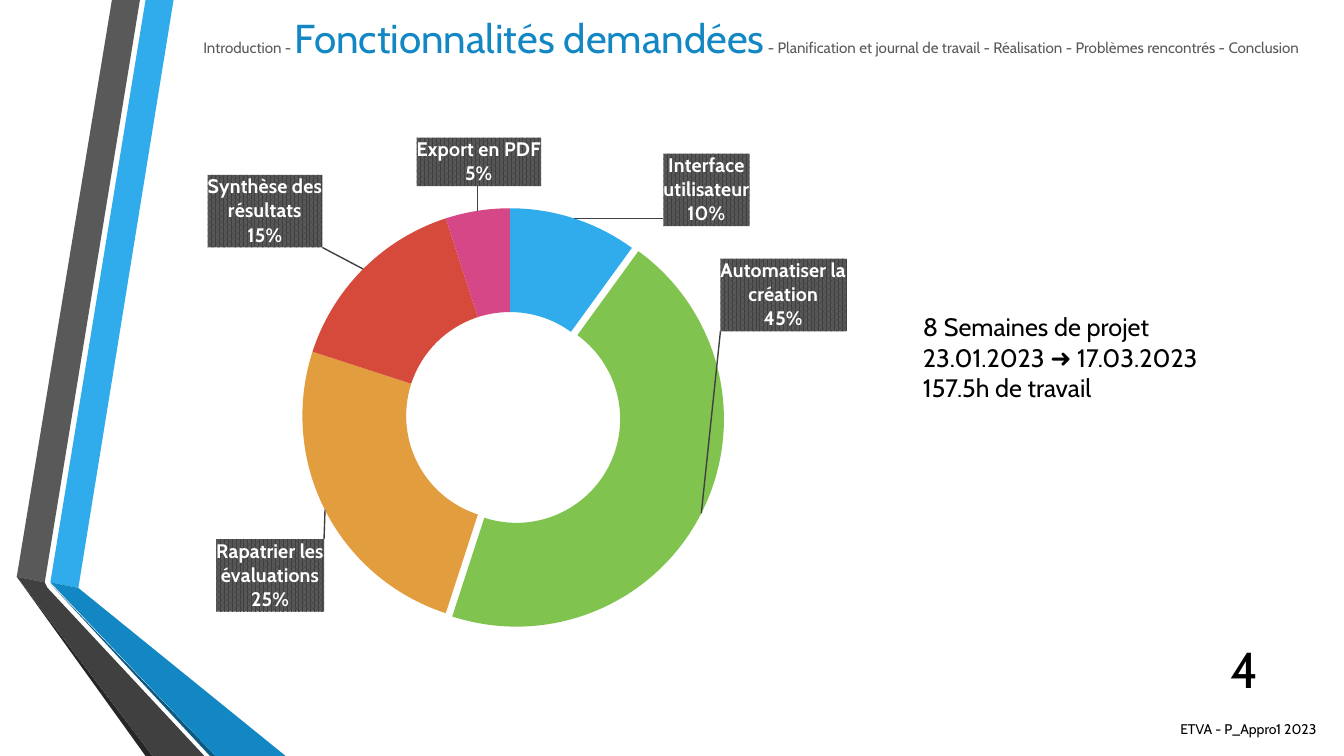
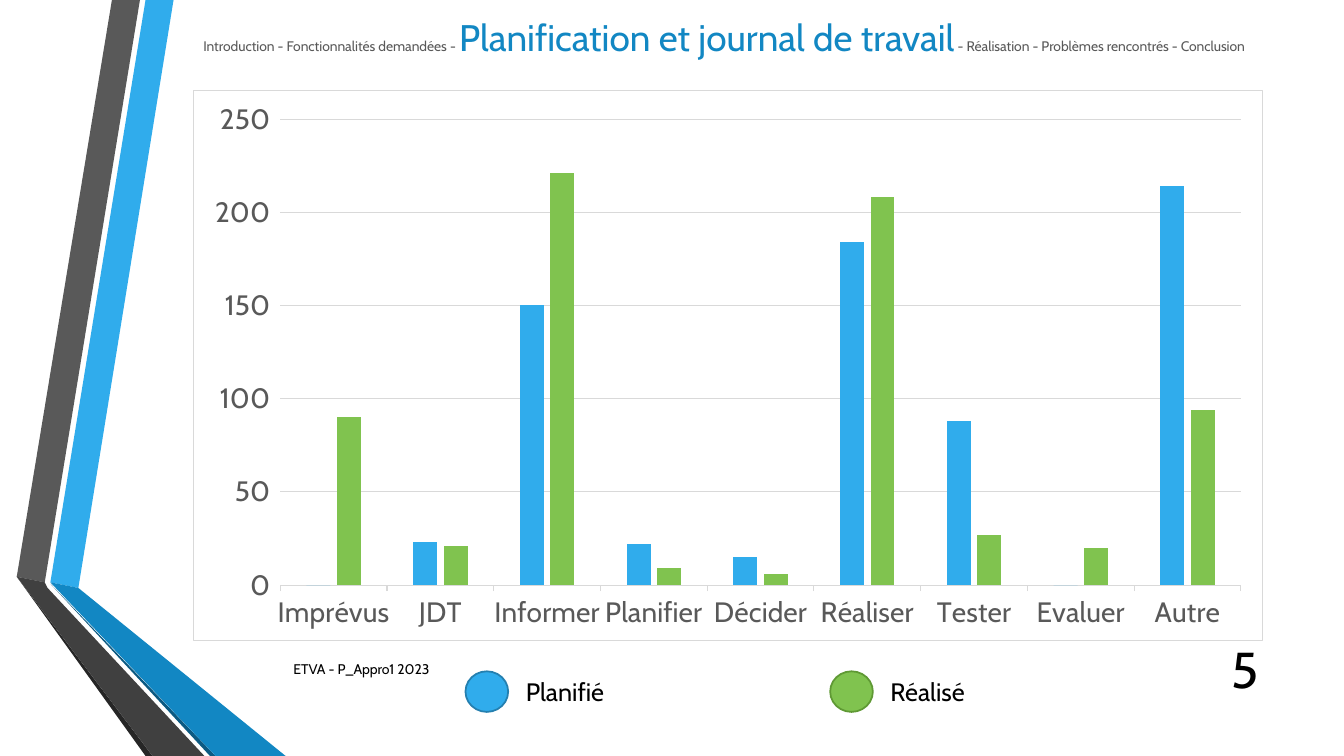
from lxml import etree
from pptx import Presentation
from pptx.chart.data import CategoryChartData
from pptx.dml.color import RGBColor
from pptx.enum import chart as ch, shapes, text
from pptx.oxml.ns import nsdecls, qn
from pptx.util import Pt

# Shared look
FONT = "Cabin"
BLUE, GREEN, DEEP, GREY, RULE = "30ACEC", "80C34F", "1287C3", "595959", "D9D9D9"
BLACK, WHITE, DARK = "000000", "FFFFFF", "404040"
FOOTER = "ETVA - P_Appro1 2023"
TOPICS = ["Introduction", "Fonctionnalités demandées",
          "Planification et journal de travail", "Réalisation",
          "Problèmes rencontrés", "Conclusion"]
BANDS = [
    (BLUE, [(36, 416), (55.5, 420), (124.5, 0), (104.5, 0)]),
    (GREY, [(100, 0), (80, 0), (11.5, 412.5), (31.5, 415.5)]),
    ("262626", [(11.5, 412.5), (104.5, 540), (109, 540)]),
    ("0C5A82", [(36, 417), (150, 540), (154, 540)]),
    (DEEP, [(36, 416), (154, 540), (204, 540), (55.5, 420)]),
    (DARK, [(11.5, 412.5), (109, 540), (145.5, 540), (34.5, 420), (31.5, 415.5)]),
]

# Slide 1: name, share, colour, label shift (x, y) in chart fractions
PARTS = [
    ("Interface utilisateur", 10, BLUE, (.22, -.14)),
    ("Automatiser la création", 45, GREEN, (.19, -.35)),
    ("Rapatrier les évaluations", 25, "E29D3E", (-.15, .16)),
    ("Synthèse des résultats", 15, "D64A3B", (-.2, -.17)),
    ("Export en PDF", 5, "D64787", (-.01, -.18)),
]
BURST = {1: 7}
RING = (.154, .163, .631, .746)
FACTS = ["8 Semaines de projet", "23.01.2023 ➜ 17.03.2023", "157.5h de travail"]

# Slide 2
TASKS = ["Imprévus", "JDT", "Informer", "Planifier", "Décider",
         "Réaliser", "Tester", "Evaluer", "Autre"]
HOURS = [("Planifié", BLUE, "247FAF", [0, 23, 150, 22, 15, 184, 88, 0, 214]),
         ("Réalisé", GREEN, "5F9934", [90, 21, 221, 9, 6, 208, 27, 20, 94])]


def rgb(code):
    return RGBColor.from_string(code)


def paint(item, code):
    item.fill.solid()
    item.fill.fore_color.rgb = rgb(code)


def style(font, size, code):
    font.name, font.size = FONT, Pt(size)
    font.color.rgb = rgb(code)


def rule(line, code, width):
    line.color.rgb = rgb(code)
    line.width = Pt(width)


def node(xml):
    head, tail = xml.split(">", 1)
    cut = len(head) - 1 if head.endswith("/") else len(head)
    return etree.fromstring(f"{head[:cut]} {nsdecls('c', 'a')}{head[cut:]}>{tail}")


def place(shape, box):
    shape.left, shape.top, shape.width, shape.height = map(Pt, box)


def label(slide, words, box, size, align=text.PP_ALIGN.LEFT):
    shape = slide.shapes.add_textbox(*map(Pt, box))
    frame = shape.text_frame
    frame.word_wrap = True
    frame.vertical_anchor = text.MSO_ANCHOR.MIDDLE
    frame.text = words
    frame.paragraphs[0].alignment = align
    style(frame.paragraphs[0].runs[0].font, size, BLACK)


def draw_bands(slide, master):
    """Draw the ribbon and move it to the master."""
    for code, spots in BANDS:
        pen = slide.shapes.build_freeform(*spots[0], scale=Pt(1))
        pen.add_line_segments(spots[1:], close=True)
        band = pen.convert_to_shape()
        band.shadow.inherit = False
        paint(band, code)
        band.line.fill.background()
        master.shapes.element.append(band.element)


def start(deck, layout, topic, big, small, page, foot):
    """Add a slide with the topic trail as title, page number and footer."""
    slide = deck.slides.add_slide(deck.slide_layouts[layout])
    place(slide.shapes.title, (138, 5, 822, 43))
    frame = slide.shapes.title.text_frame
    frame.word_wrap = True
    frame.auto_size = text.MSO_AUTO_SIZE.NONE
    frame.vertical_anchor = text.MSO_ANCHOR.MIDDLE
    line = frame.paragraphs[0]
    line.alignment = text.PP_ALIGN.LEFT
    before = "".join(f"{t} - " for t in TOPICS[:topic])
    after = "".join(f" - {t}" for t in TOPICS[topic + 1:])
    for words, size, code in [(before, small, GREY), (TOPICS[topic], big, DEEP),
                              (after, small, GREY)]:
        run = line.add_run()
        run.text = words
        style(run.font, size, code)
    label(slide, page, (846, 463, 60, 29), 36, text.PP_ALIGN.RIGHT)
    label(slide, FOOTER, foot, 10)
    return slide


def add_chart(slide, kind, box, names, series):
    data = CategoryChartData()
    data.categories = names
    for name, vals in series:
        data.add_series(name, vals)
    chart = slide.shapes.add_chart(kind, *map(Pt, box), data).chart
    chart.has_title = chart.has_legend = False
    style(chart.font, 10, BLACK)
    return chart


def label_xml(inner="", end=""):
    """Common body of one label and of the whole label set."""
    return f"""{inner}<c:numFmt formatCode="0%" sourceLinked="0"/>
<c:spPr><a:pattFill prst="pct75"><a:fgClr><a:srgbClr val="{DARK}"/></a:fgClr>
<a:bgClr><a:srgbClr val="{GREY}"/></a:bgClr></a:pattFill><a:ln><a:noFill/></a:ln></c:spPr>
<c:txPr><a:bodyPr wrap="square" lIns="0" tIns="0" rIns="0" bIns="0"/><a:p><a:pPr>
<a:defRPr sz="1400" b="1"><a:solidFill><a:srgbClr val="{WHITE}"/></a:solidFill>
<a:latin typeface="{FONT}"/></a:defRPr></a:pPr><a:endParaRPr lang="fr-FR"/></a:p></c:txPr>
<c:showLegendKey val="0"/><c:showVal val="0"/><c:showCatName val="1"/>
<c:showSerName val="0"/><c:showPercent val="1"/><c:showBubbleSize val="0"/>
<c:separator>\n</c:separator>{end}"""


def ring_labels():
    out = ""
    for i, (_, _, _, (x, y)) in enumerate(PARTS):
        shift = (f'<c:idx val="{i}"/><c:layout><c:manualLayout><c:x val="{x}"/>'
                 f'<c:y val="{y}"/></c:manualLayout></c:layout>')
        out += f"<c:dLbl>{label_xml(shift)}</c:dLbl>"
    lead = ('<c:showLeaderLines val="1"/><c:leaderLines><c:spPr><a:ln w="12700">'
            f'<a:solidFill><a:srgbClr val="{DARK}"/></a:solidFill></a:ln></c:spPr>'
            '</c:leaderLines>')
    return node(f"<c:dLbls>{out}{label_xml(end=lead)}</c:dLbls>")


def draw_ring(slide):
    chart = add_chart(slide, ch.XL_CHART_TYPE.DOUGHNUT, (138, 84, 482, 397.5),
                      [p[0] for p in PARTS], [("Series 1", [p[1] for p in PARTS])])
    points = chart.plots[0].series[0].points
    for i, part in enumerate(PARTS):
        paint(points[i].format, part[2])
    root = chart.element
    for i, gap in BURST.items():
        fill = root.xpath(f"//c:dPt[c:idx/@val='{i}']/c:spPr")[0]
        fill.addprevious(node(f'<c:explosion val="{gap}"/>'))
    root.xpath("//c:ser/c:cat")[0].addprevious(ring_labels())
    # Fixed plot area
    area = root.xpath("//c:plotArea")[0]
    for old in area.findall(qn("c:layout")):
        area.remove(old)
    spots = "".join(f'<c:{k} val="{v}"/>' for k, v in zip("xywh", RING))
    area.insert(0, node('<c:layout><c:manualLayout><c:layoutTarget val="inner"/>'
                        '<c:xMode val="edge"/><c:yMode val="edge"/>'
                        f'{spots}</c:manualLayout></c:layout>'))


def draw_facts(slide):
    body = slide.placeholders[1]
    place(body, (652, 219, 232, 73))
    frame = body.text_frame
    frame.text = "\n".join(FACTS)
    frame.auto_size = text.MSO_AUTO_SIZE.NONE
    for line in frame.paragraphs:
        line.space_before = Pt(0)
        props = line._p.get_or_add_pPr()
        props.set("marL", "0")
        props.set("indent", "0")
        etree.SubElement(props, qn("a:buNone"))
        style(line.runs[0].font, 18, BLACK)


def draw_bars(slide):
    chart = add_chart(slide, ch.XL_CHART_TYPE.COLUMN_CLUSTERED, (138, 64.5, 764, 393.5),
                      TASKS, [(f"Series {i}", h[3]) for i, h in enumerate(HOURS, 1)])
    plot = chart.plots[0]
    plot.gap_width, plot.overlap, plot.vary_by_categories = 219, -27, False
    for bars, (_, code, _, _) in zip(plot.series, HOURS):
        paint(bars.format, code)
    cat, val = chart.category_axis, chart.value_axis
    for axis in (cat, val):
        style(axis.tick_labels.font, 20, GREY)
    rule(cat.format.line, RULE, .75)
    val.format.line.fill.background()
    rule(val.major_gridlines.format.line, RULE, .75)
    val.minimum_scale, val.maximum_scale, val.major_unit = 0, 250, 50
    frame = node(f'<c:spPr><a:noFill/><a:ln w="9525"><a:solidFill><a:srgbClr val="{RULE}"/>'
                 '</a:solidFill></a:ln></c:spPr>')
    chart.element.find(qn("c:chart")).addnext(frame)


def draw_key(slide):
    for i, (name, code, edge, _) in enumerate(HOURS):
        x = 332.5 + 260.5 * i
        dot = slide.shapes.add_shape(shapes.MSO_SHAPE.FLOWCHART_CONNECTOR,
                                     *map(Pt, (x, 479.5, 30.5, 29)))
        dot.shadow.inherit = False
        paint(dot, code)
        rule(dot.line, edge, 1.25)
        label(slide, name, (x + 36, 479.5, 71.5, 29), 18)


def main():
    deck = Presentation()
    deck.slide_width, deck.slide_height = Pt(960), Pt(540)

    one = start(deck, 1, 1, 28.8, 10.8, "4", (836, 506, 124, 29))
    draw_bands(one, deck.slide_master)
    draw_ring(one)
    draw_facts(one)

    two = start(deck, 5, 2, 26.4, 9.9, "5", (202.5, 463, 558, 29))
    draw_bars(two)
    draw_key(two)

    deck.save("out.pptx")


if __name__ == "__main__":
    main()
